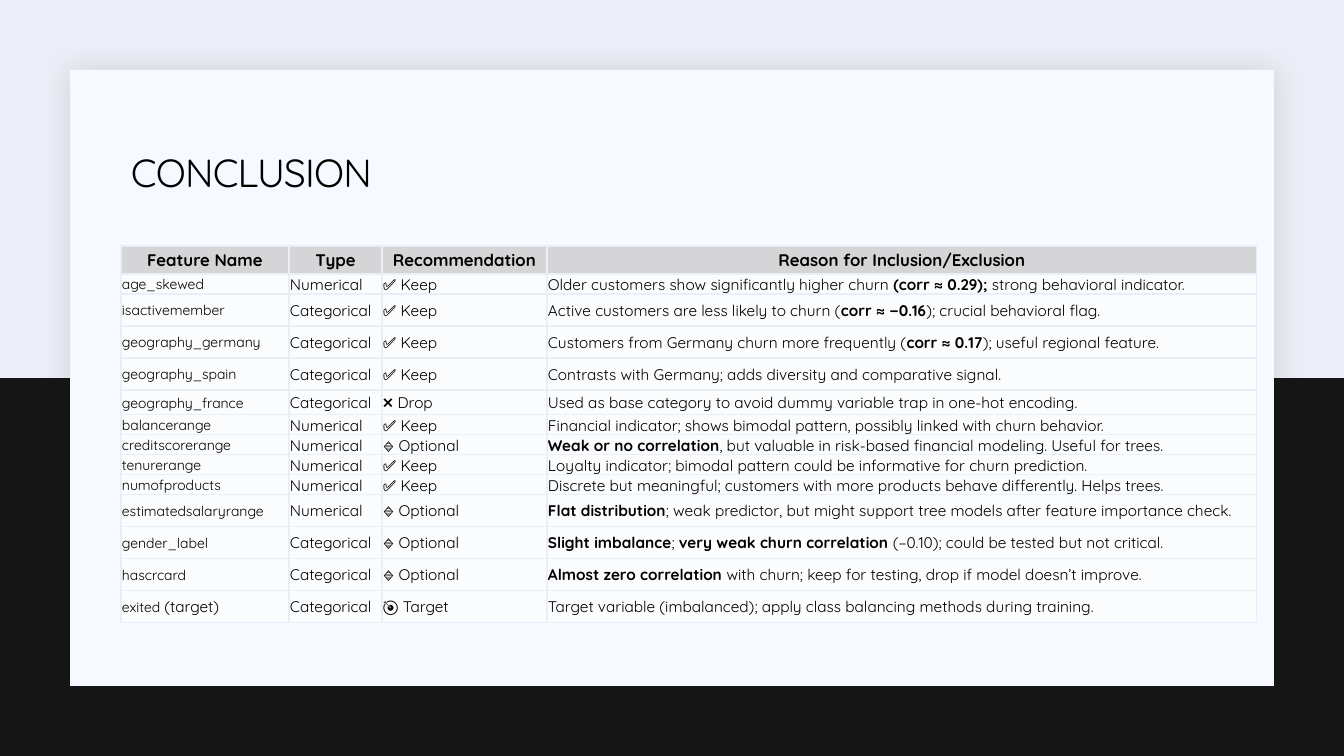
from lxml.etree import SubElement
from pptx import Presentation
from pptx.dml.color import RGBColor
from pptx.enum.shapes import MSO_SHAPE
from pptx.enum.text import MSO_ANCHOR, PP_ALIGN
from pptx.oxml import parse_xml
from pptx.oxml.ns import nsdecls, qn
from pptx.util import Emu, Pt

PX = 914400 / 100.8
FONT = "Quicksand"


def px(*lengths):
    return [Emu(round(length * PX)) for length in lengths]


def add_run(paragraph, text, size, bold=False):
    run = paragraph.add_run()
    run.text = text
    run.font.name = FONT
    run.font.size = Pt(size)
    run.font.bold = bold
    run.font.color.rgb = RGBColor.from_string("000000")
    return run


presentation = Presentation()
presentation.slide_width, presentation.slide_height = px(1344, 756)
slide = presentation.slides.add_slide(presentation.slide_layouts[6])
slide.background.fill.solid()
slide.background.fill.fore_color.rgb = RGBColor.from_string("ECEEF7")

# Dark lower half and light card
for box, color in [((0, 378, 1344, 378), "141514"), ((70, 70, 1204, 616), "F6F9FF")]:
    shape = slide.shapes.add_shape(MSO_SHAPE.RECTANGLE, *px(*box))
    shape.shadow.inherit = False
    shape.fill.solid()
    shape.fill.fore_color.rgb = RGBColor.from_string(color)
    shape.line.fill.background()

# Soft shadow on the card, the last shape drawn
effects = shape._element.spPr.find(qn("a:effectLst"))
shadow = SubElement(effects, qn("a:outerShdw"), blurRad=str(Pt(20)), dist=str(Pt(2)),
                    dir=str(45 * 60000), algn="ctr", rotWithShape="0")
shadow_color = SubElement(shadow, qn("a:srgbClr"), val="1F2125")
SubElement(shadow_color, qn("a:alpha"), val="15000")

# Title
title = slide.shapes.add_textbox(*px(121, 104, 1109, 142)).text_frame
title.word_wrap = True
title.vertical_anchor = MSO_ANCHOR.MIDDLE
title.paragraphs[0].line_spacing = 0.9
title_run = add_run(title.paragraphs[0], "CONCLUSION", 28)
title_run.font._element.set("spc", "-50")

# Feature table: height, name, type, recommendation, reason (** switches bold)
headings = ["Feature Name", "Type", "Recommendation", "Reason for Inclusion/Exclusion"]
features = [
    (20, "age_skewed", "Numerical", "✅ Keep",
     "Older customers show significantly higher churn **(corr ≈ 0.29); **strong behavioral indicator."),
    (32, "isactivemember", "Categorical", "✅ Keep",
     "Active customers are less likely to churn (**corr ≈ −0.16**); crucial behavioral flag."),
    (32, "geography_germany", "Categorical", "✅ Keep",
     "Customers from Germany churn more frequently (**corr ≈ 0.17**); useful regional feature."),
    (32, "geography_spain", "Categorical", "✅ Keep",
     "Contrasts with Germany; adds diversity and comparative signal."),
    (25, "geography_france", "Categorical", "❌ Drop",
     "Used as base category to avoid dummy variable trap in one-hot encoding."),
    (20, "balancerange", "Numerical", "✅ Keep",
     "Financial indicator; shows bimodal pattern, possibly linked with churn behavior."),
    (20, "creditscorerange", "Numerical", "🔹 Optional",
     "**Weak or no correlation**, but valuable in risk-based financial modeling. Useful for trees."),
    (20, "tenurerange", "Numerical", "✅ Keep",
     "Loyalty indicator; bimodal pattern could be informative for churn prediction."),
    (20, "numofproducts", "Numerical", "✅ Keep",
     "Discrete but meaningful; customers with more products behave differently. Helps trees."),
    (32, "estimatedsalaryrange", "Numerical", "🔹 Optional",
     "**Flat distribution**; weak predictor, but might support tree models after feature importance check."),
    (32, "gender_label", "Categorical", "🔹 Optional",
     "**Slight imbalance**; **very weak churn correlation **(−0.10); could be tested but not critical."),
    (32, "hascrcard", "Categorical", "🔹 Optional",
     "**Almost zero correlation **with churn; keep for testing, drop if model doesn’t improve."),
    (32, "exited (target)", "Categorical", "🎯 Target",
     "Target variable (imbalanced); apply class balancing methods during training."),
]
rows = [(28, *headings), *features]
table = slide.shapes.add_table(len(rows), len(headings), *px(121, 246, 1136, 377)).table
table.first_row = table.horz_banding = False
for column, width in zip(table.columns, px(168, 93, 165, 710)):
    column.width = width

for row_index, (height, *texts) in enumerate(rows):
    table.rows[row_index].height = px(height)[0]
    is_header = row_index == 0
    for column_index, text in enumerate(texts):
        cell = table.cell(row_index, column_index)
        cell.margin_left, cell.margin_top, cell.margin_right, cell.margin_bottom = px(1, 1, 1, 0)
        cell.vertical_anchor = MSO_ANCHOR.MIDDLE
        cell.fill.solid()
        cell.fill.fore_color.rgb = RGBColor.from_string("D5D5D7" if is_header else "FBFCFD")
        paragraph = cell.text_frame.paragraphs[0]
        if is_header:
            paragraph.alignment = PP_ALIGN.CENTER
            add_run(paragraph, text, 12, True)
        elif column_index == 0:
            name, space, note = text.partition(" ")
            add_run(paragraph, name, 10)
            if note:
                add_run(paragraph, space + note, 11)
        else:
            for part_index, part in enumerate(text.split("**")):
                if part:
                    add_run(paragraph, part, 11, part_index % 2 == 1)

        # Cell borders come before the fill
        properties = cell._tc.get_or_add_tcPr()
        for position, side in enumerate(["lnL", "lnR", "lnT", "lnB"]):
            properties.insert(position, parse_xml(
                f'<a:{side} {nsdecls("a")} w="{Pt(1)}"><a:solidFill>'
                f'<a:srgbClr val="ECEEF7"/></a:solidFill></a:{side}>'))

presentation.save("out.pptx")
